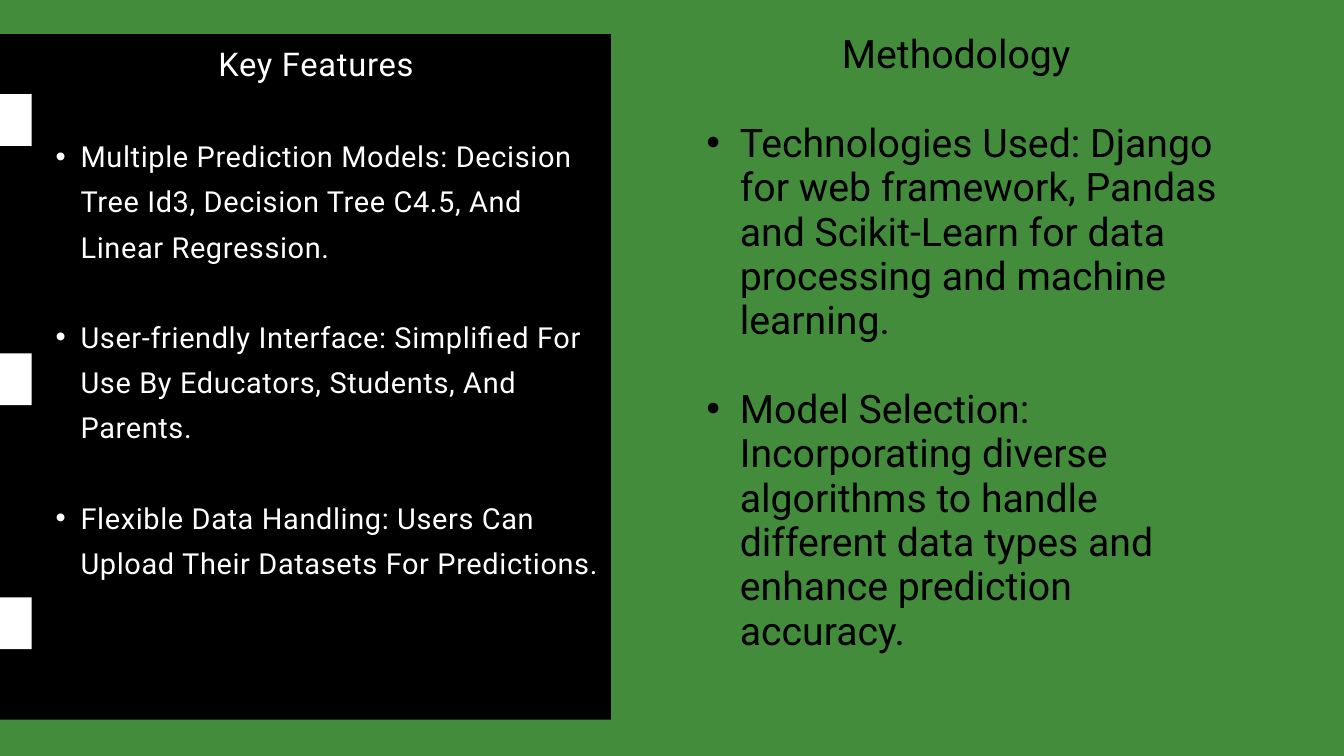
from lxml.etree import SubElement
from pptx import Presentation
from pptx.dml.color import RGBColor
from pptx.enum.shapes import MSO_SHAPE as Shape
from pptx.enum.text import MSO_AUTO_SIZE as AutoSize, PP_ALIGN as Align
from pptx.oxml.ns import qn
from pptx.util import Inches, Pt

COLORS = {"green": "438C3C", "black": "000000", "white": "FFFFFF"}

FEATURES = {
    "title": "Key Features",
    "items": [
        "Multiple Prediction Models: Decision Tree Id3, Decision Tree C4.5, And Linear Regression.",
        "User-friendly Interface: Simplified For Use By Educators, Students, And Parents.",
        "Flexible Data Handling: Users Can Upload Their Datasets For Predictions.",
    ],
    "color": "white",
    "title_size": 35, "title_line": 54.6, "title_tracking": 80,
    "item_size": 31, "item_line": 48.4, "item_tracking": 70,
    "margin": 0.73, "hanging": 0.37,
}

METHODOLOGY = {
    "title": "Methodology",
    "items": [
        "Technologies Used: Django for web framework, Pandas and Scikit-Learn for data processing and machine learning.",
        "Model Selection: Incorporating diverse algorithms to handle different data types and enhance prediction accuracy.",
    ],
    "color": "black",
    "title_size": 42, "title_line": 47.5, "title_tracking": 0,
    "item_size": 42, "item_line": 47.5, "item_tracking": 0,
    "margin": 0.99, "hanging": 0.5,
}


def color(name):
    return RGBColor.from_string(COLORS[name])


def add_block(page, left, top, width, height, fill):
    block = page.shapes.add_shape(
        Shape.RECTANGLE, Inches(left), Inches(top), Inches(width), Inches(height))
    block.shadow.inherit = False
    block.fill.solid()
    block.fill.fore_color.rgb = color(fill)
    block.line.fill.background()


def add_bullet(para, margin, hanging):
    props = para._p.get_or_add_pPr()
    props.set("marL", str(Inches(margin)))
    props.set("indent", str(-Inches(hanging)))
    SubElement(props, qn("a:buFont"), typeface="Arial")
    SubElement(props, qn("a:buChar"), char="•")


def write(para, text, part, look):
    para.line_spacing = Pt(look[f"{part}_line"])
    span = para.add_run()
    span.text = text
    formats = {"name": "Roboto", "size": Pt(look[f"{part}_size"])}
    for key, value in formats.items():
        setattr(span.font, key, value)
    span.font.color.rgb = color(look["color"])
    if look[f"{part}_tracking"]:
        span._r.get_or_add_rPr().set("spc", str(look[f"{part}_tracking"]))


def add_column(page, left, top, width, height, look):
    box = page.shapes.add_textbox(
        Inches(left), Inches(top), Inches(width), Inches(height))
    frame = box.text_frame
    formats = {"word_wrap": True, "auto_size": AutoSize.SHAPE_TO_FIT_TEXT,
               "margin_left": 0, "margin_top": 0,
               "margin_right": 0, "margin_bottom": 0}
    for key, value in formats.items():
        setattr(frame, key, value)
    title = frame.paragraphs[0]
    title.alignment = Align.CENTER
    write(title, look["title"], "title", look)
    for item in look["items"]:
        para = frame.add_paragraph()
        add_bullet(para, look["margin"], look["hanging"])
        para.level = 1
        para.alignment = Align.LEFT
        para.space_before = Pt(look["item_line"])
        write(para, item, "item", look)


def add_features_panel(page, left, top, width, height):
    add_block(page, left, top, width, height, "black")
    for offset in (0.89, 4.75, 8.38):
        add_block(page, left + 3.54, top + offset, 1.25, 0.77, "white")
    add_column(page, left + 4.79, top - 0.03, 8.47, 8.8, FEATURES)


def main():
    deck = Presentation()
    deck.slide_width, deck.slide_height = Inches(20), Inches(11.25)
    page = deck.slides.add_slide(deck.slide_layouts[6])
    page.background.fill.solid()
    page.background.fill.fore_color.rgb = color("green")
    add_features_panel(page, -4.32, 0.51, 13.41, 10.2)
    add_column(page, 10.02, 0.48, 8.42, 10.54, METHODOLOGY)
    deck.save("out.pptx")


if __name__ == "__main__":
    main()
